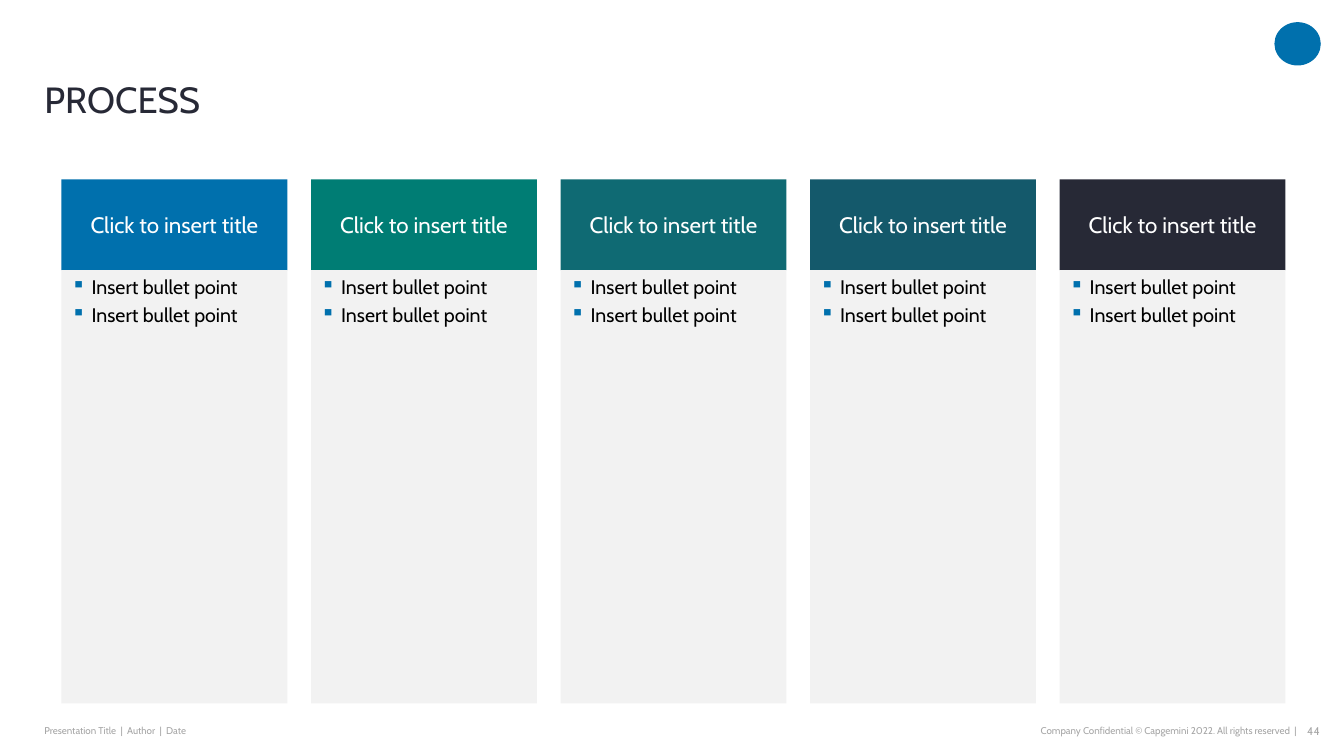
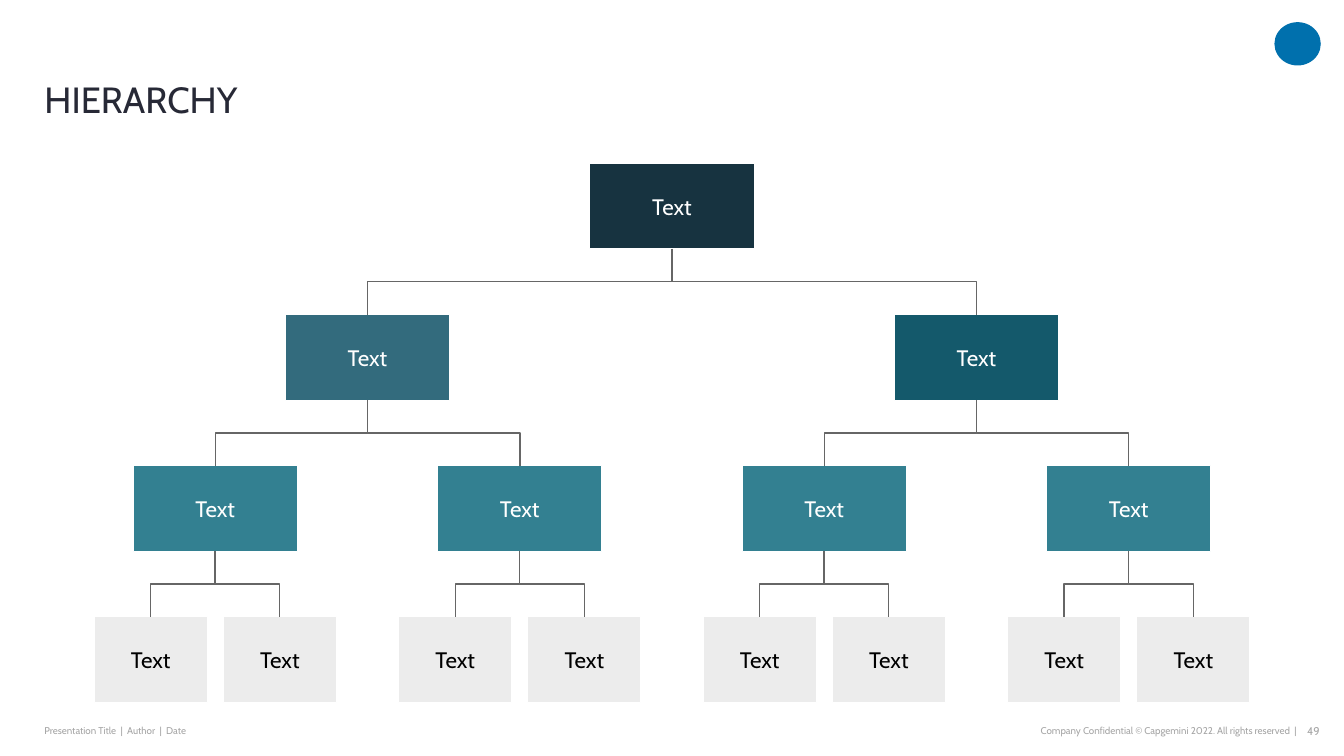
from lxml import etree
from pptx import Presentation
from pptx.dml.color import RGBColor
from pptx.enum.shapes import MSO_CONNECTOR, MSO_SHAPE
from pptx.enum.text import MSO_ANCHOR, MSO_AUTO_SIZE, PP_ALIGN
from pptx.oxml.ns import qn
from pptx.util import Inches, Pt

RECTANGLE, OVAL = MSO_SHAPE.RECTANGLE, MSO_SHAPE.OVAL
ELBOW = MSO_CONNECTOR.ELBOW
TOP, MIDDLE, BOTTOM = MSO_ANCHOR.TOP, MSO_ANCHOR.MIDDLE, MSO_ANCHOR.BOTTOM
LEFT, CENTER, RIGHT = PP_ALIGN.LEFT, PP_ALIGN.CENTER, PP_ALIGN.RIGHT
NO_AUTOFIT = MSO_AUTO_SIZE.NONE
BOTTOM_SITE, TOP_SITE = 2, 0

# Shared colours and font
FONT = "Cabin"
BLUE = RGBColor(0x00, 0x70, 0xAD)
GREEN = RGBColor(0x00, 0x7D, 0x74)
TEAL = RGBColor(0x0F, 0x6A, 0x73)
PETROL = RGBColor(0x14, 0x59, 0x6B)
INK = RGBColor(0x27, 0x29, 0x36)
DEEP = RGBColor(0x17, 0x33, 0x40)
SLATE = RGBColor(0x33, 0x6B, 0x7D)
LAGOON = RGBColor(0x33, 0x80, 0x91)
PANEL = RGBColor(0xF2, 0xF2, 0xF2)
LEAF = RGBColor(0xEC, 0xEC, 0xEC)
FOOTER_GREY = RGBColor(0xA6, 0xA6, 0xA6)
LINE_GREY = RGBColor(0x66, 0x66, 0x66)
WHITE = RGBColor(0xFF, 0xFF, 0xFF)
BLACK = RGBColor(0x00, 0x00, 0x00)

presentation = Presentation()
presentation.slide_width = Inches(13.33)
presentation.slide_height = Inches(7.5)
title_layout = presentation.slide_layouts.get_by_name("Title Only")


def write(shape, lines, size, color, alignment, anchor, margins=(0.1, 0.05)):
    """Fill a shape with one paragraph per line in the shared font."""
    frame = shape.text_frame
    side, end = (Inches(margin) for margin in margins)
    frame_format = {"word_wrap": True, "auto_size": NO_AUTOFIT,
                    "vertical_anchor": anchor,
                    "margin_left": side, "margin_right": side,
                    "margin_top": end, "margin_bottom": end}
    for name, value in frame_format.items():
        setattr(frame, name, value)
    frame.text = "\n".join(lines)
    for paragraph in frame.paragraphs:
        paragraph.alignment = alignment
        font = paragraph.runs[0].font
        for name, value in {"name": FONT, "size": Pt(size), "bold": False}.items():
            setattr(font, name, value)
        font.color.rgb = color


def add_block(slide, kind, left, top, width, height, fill, outline=None):
    """Add a flat preset shape; lengths are in inches."""
    shape = slide.shapes.add_shape(
        kind, Inches(left), Inches(top), Inches(width), Inches(height))
    shape.shadow.inherit = False
    shape.fill.solid()
    shape.fill.fore_color.rgb = fill
    if outline is None:
        shape.line.fill.background()
    else:
        shape.line.color.rgb = outline
        shape.line.width = Pt(0.75)
    return shape


# Title position, set once on the layout
layout_title = title_layout.placeholders[0]
title_place = {"left": 0.44, "top": 0.42, "width": 11.97, "height": 0.78}
for name, value in title_place.items():
    setattr(layout_title, name, Inches(value))

# Title, emblem and footer of each slide
slides = []
for title, number in (("PROCESS", "44"), ("HIERARCHY", "49")):
    slide = presentation.slides.add_slide(title_layout)
    write(slide.shapes.title, [title], 26, INK, LEFT, BOTTOM, (0, 0))
    slide.shapes.title.text_frame.paragraphs[0].line_spacing = 0.9
    add_block(slide, OVAL, 12.64, 0.22, 0.46, 0.43, BLUE)
    footers = (
        (0.44, 3.73, "Presentation Title  |  Author  |  Date", 7, LEFT),
        (7.9, 4.96,
         "Company Confidential © Capgemini 2022. All rights reserved  |", 7, RIGHT),
        (12.84, 0.25, number, 8, RIGHT),
    )
    for left, width, text, size, alignment in footers:
        footer = slide.shapes.add_textbox(
            Inches(left), Inches(7.13), Inches(width), Inches(0.24))
        write(footer, [text], size, FOOTER_GREY, alignment, MIDDLE, (0, 0))
    slides.append(slide)
process_slide, hierarchy_slide = slides

# Process: five columns, each a heading above a panel of bullets
COLUMN_LEFT, COLUMN_STEP, COLUMN_WIDTH = 0.61, 2.475, 2.24
HEADING_TOP, HEADING_HEIGHT, PANEL_HEIGHT = 1.78, 0.9, 4.3
for column, color in enumerate((BLUE, GREEN, TEAL, PETROL, INK)):
    left = COLUMN_LEFT + column * COLUMN_STEP
    heading = add_block(process_slide, RECTANGLE, left, HEADING_TOP,
                        COLUMN_WIDTH, HEADING_HEIGHT, color)
    write(heading, ["Click to insert title"], 16, WHITE, CENTER, MIDDLE)
    panel = add_block(process_slide, RECTANGLE, left, HEADING_TOP + HEADING_HEIGHT,
                      COLUMN_WIDTH, PANEL_HEIGHT, PANEL)
    write(panel, ["Insert bullet point"] * 2, 14, BLACK, LEFT, TOP)
    for row, paragraph in enumerate(panel.text_frame.paragraphs):
        properties = paragraph._p.get_or_add_pPr()
        properties.set("marL", str(Inches(0.2)))
        properties.set("indent", str(-Inches(0.2)))
        bullet_color = etree.SubElement(properties, qn("a:buClr"))
        etree.SubElement(bullet_color, qn("a:srgbClr"), val=str(BLUE))
        etree.SubElement(properties, qn("a:buChar"), char="▪")
        paragraph.space_before = Pt(3 if row else 0)

# Hierarchy: each level has twice the boxes of the one above
LEVEL_TOP, LEVEL_STEP, BOX_HEIGHT = 1.62, 1.5, 0.85
levels = (  # offset from parent, box width, fills, text colour
    (0, 1.63, (DEEP,), WHITE),
    (3.02, 1.63, (SLATE, PETROL), WHITE),
    (1.51, 1.63, (LAGOON,), WHITE),
    (0.64, 1.12, (LEAF,), BLACK),
)
parents = []
links = []
for level, (offset, width, fills, text_color) in enumerate(levels):
    boxes = []
    for index in range(2 ** level):
        center = 13.33 / 2
        if parents:
            parent, parent_center = parents[index // 2]
            center = parent_center + (offset if index % 2 else -offset)
        box = add_block(hierarchy_slide, RECTANGLE, center - width / 2,
                        LEVEL_TOP + level * LEVEL_STEP, width, BOX_HEIGHT,
                        fills[index % len(fills)], WHITE)
        write(box, ["Text"], 16, text_color, CENTER, MIDDLE, (0.05, 0.05))
        boxes.append((box, center))
        if parents:
            links.append((parent, box))
    parents = boxes

# Elbow connectors, turned so that they leave each parent downwards
for parent, child in links:
    connector = hierarchy_slide.shapes.add_connector(ELBOW, 0, 0, 0, 0)
    connector.begin_connect(parent, BOTTOM_SITE)
    connector.end_connect(child, TOP_SITE)
    start_x = parent.left + parent.width // 2
    end_x = child.left + child.width // 2
    start_y, end_y = parent.top + parent.height, child.top
    drop, span = end_y - start_y, abs(end_x - start_x)
    frame = {"left": (start_x + end_x - drop) // 2,
             "top": (start_y + end_y - span) // 2,
             "width": drop, "height": span,
             "rotation": 270 if end_x > start_x else 90}
    for name, value in frame.items():
        setattr(connector, name, value)
    shape_properties = connector._element.spPr
    transform = shape_properties.find(qn("a:xfrm"))
    transform.set("flipH", "1" if end_x > start_x else "0")
    transform.set("flipV", "0")
    connector.line.color.rgb = LINE_GREY
    connector.line.width = Pt(1)
    etree.SubElement(shape_properties, qn("a:effectLst"))

presentation.save("out.pptx")
